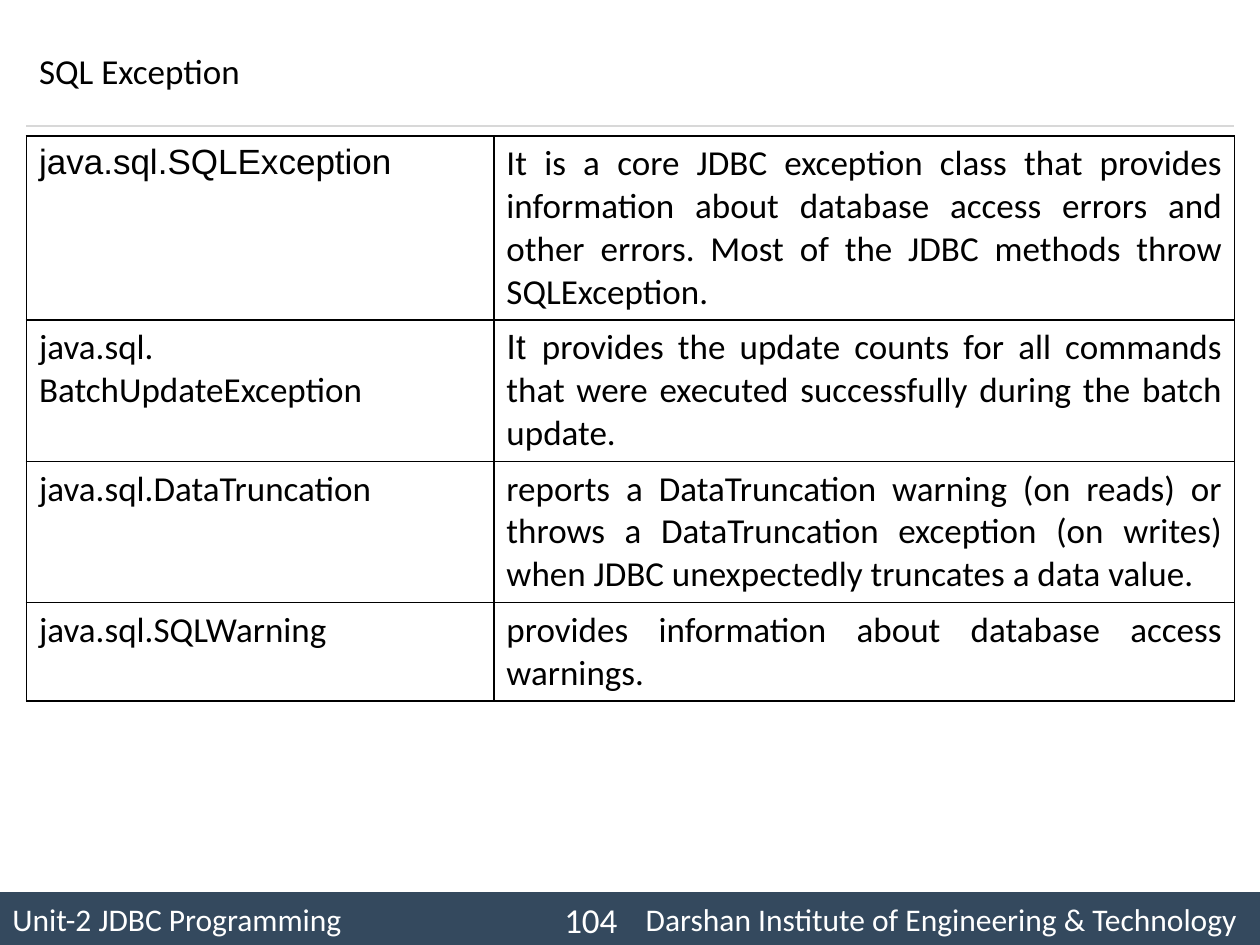
from dataclasses import dataclass

from lxml.etree import SubElement
from pptx import Presentation
from pptx.dml.color import RGBColor
from pptx.enum.shapes import MSO_CONNECTOR, MSO_SHAPE
from pptx.enum.text import MSO_ANCHOR, PP_ALIGN
from pptx.oxml.ns import qn
from pptx.util import Inches, Pt


@dataclass(frozen=True)
class Theme:
    body_font: str = "Calibri"
    code_font: str = "Arial"
    body_size: int = 20
    footer_size: int = 18
    text: str = "000000"
    light: str = "FFFFFF"
    bar: str = "34495E"
    rule: str = "D8D8D8"
    border: str = "000000"


class SlideBuilder:
    """Holds the theme and the current slide and adds each kind of element."""

    def __init__(self, slide, theme):
        self.slide = slide
        self.theme = theme

    def style(self, font, color, size=None, name=None):
        font.name = name or self.theme.body_font
        font.size = Pt(size or self.theme.body_size)
        font.color.rgb = RGBColor.from_string(color)

    def title(self, text, left, top, width, height):
        shape = self.slide.shapes.title
        shape.left, shape.top = Inches(left), Inches(top)
        shape.width, shape.height = Inches(width), Inches(height)
        frame = shape.text_frame
        frame.text = text
        frame.vertical_anchor = MSO_ANCHOR.MIDDLE
        paragraph = frame.paragraphs[0]
        paragraph.alignment = PP_ALIGN.LEFT
        self.style(paragraph.font, self.theme.text)

    def footer(self, unit, institute, top, height, tab):
        shape = self.slide.shapes.add_shape(
            MSO_SHAPE.RECTANGLE, 0, Inches(top), Inches(10), Inches(height))
        shape.shadow.inherit = False
        shape.fill.solid()
        shape.fill.fore_color.rgb = RGBColor.from_string(self.theme.bar)
        shape.line.fill.background()
        frame = shape.text_frame
        frame.vertical_anchor = MSO_ANCHOR.MIDDLE
        paragraph = frame.paragraphs[0]
        paragraph.text = f"{unit}\t{institute}"
        paragraph.alignment = PP_ALIGN.LEFT
        tabs = SubElement(paragraph._p.get_or_add_pPr(), qn("a:tabLst"))
        SubElement(tabs, qn("a:tab"), pos=str(Inches(tab)), algn="r")
        self.style(paragraph.font, self.theme.light, self.theme.footer_size)

    def rule(self, left, right, top):
        line = self.slide.shapes.add_connector(
            MSO_CONNECTOR.STRAIGHT, Inches(left), Inches(top), Inches(right), Inches(top))
        line.line.color.rgb = RGBColor.from_string(self.theme.rule)
        line.line.width = Pt(0.75)
        SubElement(line._element.spPr, qn("a:effectLst"))

    def page_number(self, text, left, top, width, height):
        box = self.slide.shapes.add_textbox(
            Inches(left), Inches(top), Inches(width), Inches(height))
        frame = box.text_frame
        frame.word_wrap = True
        frame.vertical_anchor = MSO_ANCHOR.MIDDLE
        paragraph = frame.paragraphs[0]
        paragraph.text = text
        paragraph.alignment = PP_ALIGN.RIGHT
        self.style(paragraph.font, self.theme.light)

    def cell(self, cell, runs, alignment):
        frame = cell.text_frame
        frame.text = "".join(text for text, _ in runs)
        for paragraph in frame.paragraphs:
            paragraph.alignment = alignment
            self.style(paragraph.font, self.theme.text, name=runs[0][1])
        if len(runs) > 1:
            paragraph = frame.paragraphs[0]
            paragraph.clear()
            for text, name in runs:
                run = paragraph.add_run()
                run.text = text
                self.style(run.font, self.theme.text, name=name)
        properties = cell._tc.get_or_add_tcPr()
        for side in ("lnL", "lnR", "lnT", "lnB"):
            line = SubElement(properties, qn(f"a:{side}"), w=str(Pt(1)))
            fill = SubElement(line, qn("a:solidFill"))
            SubElement(fill, qn("a:srgbClr"), val=self.theme.border)
        cell.fill.background()

    def table(self, rows, left, top, widths, heights):
        table = self.slide.shapes.add_table(
            len(rows), len(widths), Inches(left), Inches(top),
            Inches(sum(widths)), Inches(sum(heights))).table
        table.first_row = False
        table.horz_banding = False
        for column, width in zip(table.columns, widths):
            column.width = Inches(width)
        for row, height, contents in zip(table.rows, heights, rows):
            row.height = Inches(height)
            for cell, runs, alignment in zip(
                    row.cells, contents, (PP_ALIGN.LEFT, PP_ALIGN.JUSTIFY)):
                self.cell(cell, runs, alignment)


def main():
    theme = Theme()
    body, code = theme.body_font, theme.code_font
    exceptions = [
        ([("java.sql.SQLException", code)],
         [("It is a core JDBC exception class that provides information about database "
           "access errors and other errors. Most of the JDBC methods throw SQLException.", body)]),
        ([("java.sql.\nBatchUpdateException", body)],
         [("It ", code),
          ("provides the update counts for all commands that were executed "
           "successfully during the batch update.", body)]),
        ([("java.sql.DataTruncation", body)],
         [("reports a DataTruncation warning (on reads) or throws a DataTruncation exception "
           "(on writes) when JDBC unexpectedly truncates a data value.", body)]),
        ([("java.sql.SQLWarning", body)],
         [("provides information about database access warnings.", body)]),
    ]
    presentation = Presentation()
    presentation.slide_width = Inches(10)
    presentation.slide_height = Inches(7.5)
    slide = presentation.slides.add_slide(presentation.slide_layouts[5])
    builder = SlideBuilder(slide, theme)
    builder.footer("Unit-2 JDBC Programming", "Darshan Institute of Engineering & Technology",
                   7.08, 0.42, 9.72)
    builder.rule(0.21, 9.79, 1)
    builder.title("SQL Exception", 0.21, 0.12, 9.58, 0.88)
    builder.table(exceptions, 0.21, 1.08, (3.71, 5.88), (1.46, 1.12, 1.12, 0.78))
    builder.page_number("104", 4.17, 7.1, 0.83, 0.4)
    presentation.save("out.pptx")


if __name__ == "__main__":
    main()
